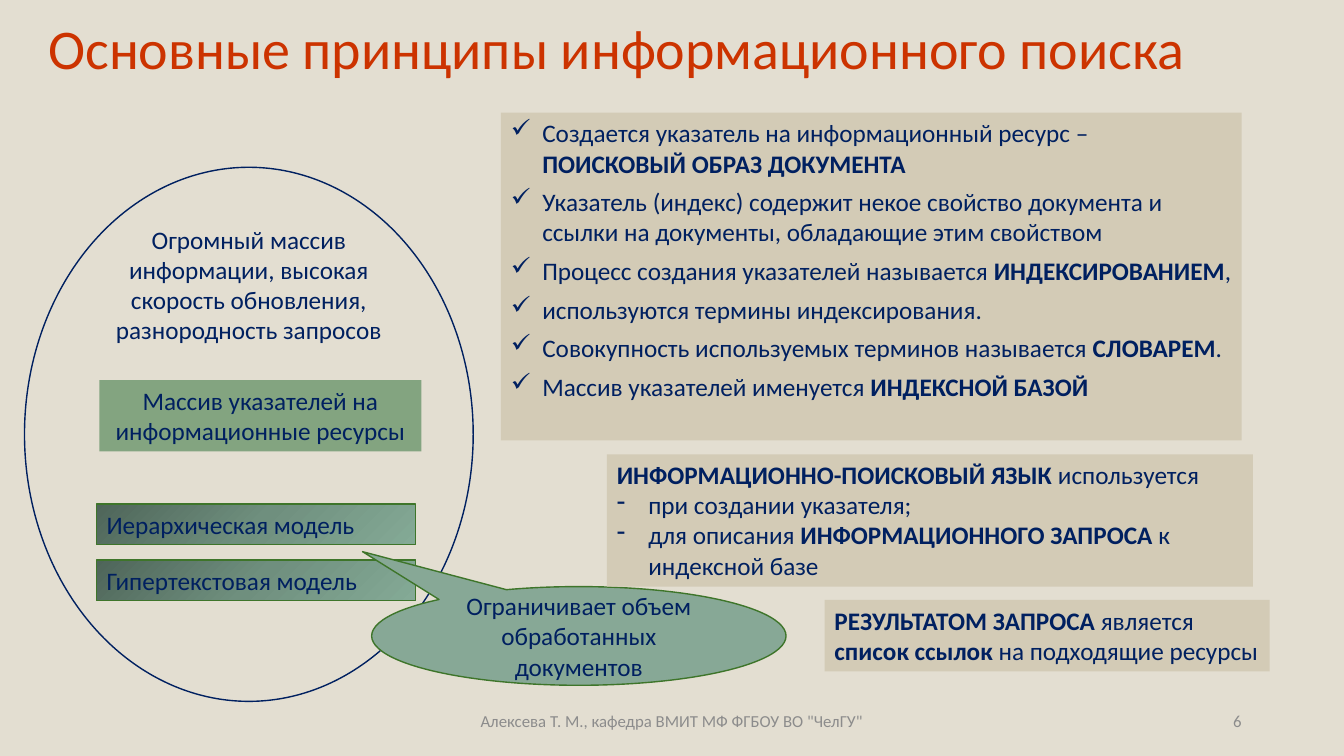
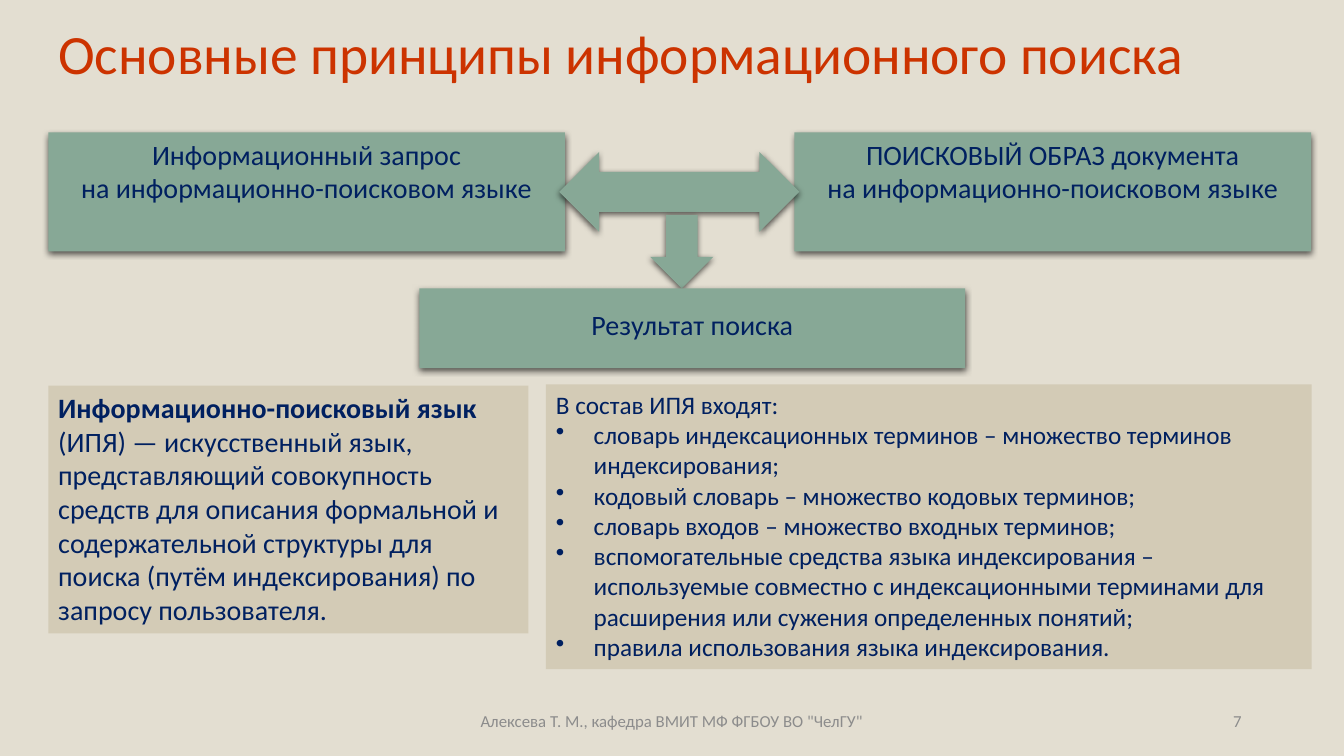
from copy import deepcopy

from lxml import etree
from pptx import Presentation
from pptx.dml.color import RGBColor
from pptx.enum.shapes import MSO_SHAPE
from pptx.enum.text import MSO_ANCHOR, PP_ALIGN
from pptx.oxml.ns import qn
from pptx.util import Pt

RECT, OVAL = MSO_SHAPE.RECTANGLE, MSO_SHAPE.OVAL
CALLOUT = MSO_SHAPE.OVAL_CALLOUT
TWO_WAY, DOWN = MSO_SHAPE.LEFT_RIGHT_ARROW, MSO_SHAPE.DOWN_ARROW
LEFT, MID, RIGHT = PP_ALIGN.LEFT, PP_ALIGN.CENTER, PP_ALIGN.RIGHT
TOP, CENTER = MSO_ANCHOR.TOP, MSO_ANCHOR.MIDDLE

HEX = {
    "back": "E3DED1", "title": "CC3300", "foot": "8C8C8C", "ink": "002060",
    "sand": "D3CBB6", "sage": "87A896", "leaf": "83A480", "edge": "3E752A",
    "dark": "4E6559", "mid": "6F8F7E", "light": "84AA96", "black": "000000",
}
RGB = {name: RGBColor.from_string(code) for name, code in HEX.items()}
FONT = "Calibri"
TITLE = "Основные принципы информационного поиска"
FOOTER = 'Алексева Т. М., кафедра ВМИТ МФ ФГБОУ ВО "ЧелГУ"'


def draw(slide, kind, at, fill, line=None, shade=False):
    shape = slide.shapes.add_shape(kind, *map(Pt, at))
    shape.shadow.inherit = False
    shape.fill.solid()
    shape.fill.fore_color.rgb = RGB[fill]
    if line:
        shape.line.color.rgb = RGB[line]
        shape.line.width = Pt(1)
    else:
        shape.line.fill.background()
    if shade:
        effects = shape._element.spPr.find(qn("a:effectLst"))
        outer = etree.SubElement(
            effects, qn("a:outerShdw"), blurRad=str(Pt(4.5)),
            dist=str(Pt(1.5)), dir="5400000", rotWithShape="0")
        tone = etree.SubElement(outer, qn("a:srgbClr"), val=HEX["black"])
        etree.SubElement(tone, qn("a:alpha"), val="63000")
    return shape


def write(shape, lines, size=18, color="ink", align=LEFT, anchor=TOP,
          indent=22.5, after=0, spacing=None):
    frame = shape.text_frame
    frame.word_wrap = True
    frame.vertical_anchor = anchor
    for n, (mark, text) in enumerate(lines):
        par = frame.paragraphs[0] if n == 0 else frame.add_paragraph()
        if mark:
            props = par._p.get_or_add_pPr()
            props.set("marL", str(Pt(indent)))
            props.set("indent", str(-Pt(indent)))
            etree.SubElement(props, qn("a:buChar"), char=mark)
        par.alignment = align
        par.space_after = Pt(after)
        if spacing:
            par.line_spacing = spacing
        for i, part in enumerate(text.split("*")):
            for j, piece in enumerate(part.split("\n")):
                if j:
                    par.add_line_break()
                if piece:
                    run = par.add_run()
                    run.text = piece
                    run.font.name = FONT
                    run.font.size = Pt(size)
                    run.font.bold = i % 2 == 1
                    run.font.color.rgb = RGB[color]


deck = Presentation()
deck.slide_width, deck.slide_height = Pt(960), Pt(540)
back = deck.slide_master.background.fill
back.solid()
back.fore_color.rgb = RGB["back"]

pages = []
for number, at, size in (
    ("6", (27.5, 11, 905, 52), 40),
    ("7", (34.5, 13.5, 828, 54), 39.6),
):
    page = deck.slides.add_slide(deck.slide_layouts[6])
    pages.append(page)
    for text, place, points, color, align, spacing in (
        (TITLE, at, size, "title", LEFT, 0.9),
        (FOOTER, (318, 500.5, 324, 29), 12, "foot", MID, None),
        (number, (678, 500.5, 216, 29), 12, "foot", RIGHT, None),
    ):
        box = page.shapes.add_textbox(*map(Pt, place))
        write(box, [("", text)], points, color, align, CENTER, spacing=spacing)

first, second = pages

cloud = draw(first, OVAL, (17.5, 119.5, 320.5, 381.5), "back", "ink")
cloud.text_frame.margin_top = 0
cloud.text_frame.margin_bottom = Pt(214)
write(cloud, [("", "Огромный массив информации, высокая скорость обновления, "
               "разнородность запросов")], align=MID, anchor=CENTER)

for top, text in ((400, "Гипертекстовая модель"), (360, "Иерархическая модель")):
    bar = draw(first, RECT, (69, top, 228, 29), "sage", "edge")
    bar.fill.gradient()
    bar.fill.gradient_angle = 315
    stops = bar._element.spPr.find(".//" + qn("a:gsLst"))
    stops.insert(1, deepcopy(stops[0]))
    for stop, spot, color in zip(bar.fill.gradient_stops, (0, 0.5, 1),
                                 ("dark", "mid", "light")):
        stop.position = spot
        stop.color.rgb = RGB[color]
    write(bar, [("", text)])

bubble = draw(first, CALLOUT, (265.5, 419, 296, 70.5), "sage", "edge")
bubble.adjustments[0] = -0.522
bubble.adjustments[1] = -0.854
write(bubble, [("", "Ограничивает объем обработанных документов")],
      align=MID, anchor=CENTER)

index = draw(first, RECT, (71, 271.5, 230, 51), "leaf")
write(index, [("", "Массив указателей на информационные ресурсы")], align=MID)

steps = draw(first, RECT, (357.8, 80.5, 529.2, 234), "sand")
write(steps, [("✓", text) for text in (
    "Создается указатель на информационный ресурс – *ПОИСКОВЫЙ ОБРАЗ ДОКУМЕНТА*",
    "Указатель (индекс) содержит некое свойство документа и ссылки на "
    "документы, обладающие этим свойством",
    "Процесс создания указателей называется *ИНДЕКСИРОВАНИЕМ*,",
    "используются термины индексирования.",
    "Совокупность используемых терминов называется *СЛОВАРЕМ*.",
    "Массив указателей именуется *ИНДЕКСНОЙ БАЗОЙ*",
)], after=6)

tongue = draw(first, RECT, (433.5, 324.5, 461.5, 94.5), "sand")
write(tongue, [
    ("", "*ИНФОРМАЦИОННО-ПОИСКОВЫЙ ЯЗЫК* используется"),
    ("-", "при создании указателя;"),
    ("-", "для описания *ИНФОРМАЦИОННОГО ЗАПРОСА *к индексной базе"),
])

result = draw(first, RECT, (589, 428.5, 318, 51), "sand")
write(result, [
    ("", "*РЕЗУЛЬТАТОМ ЗАПРОСА *является"),
    ("", "*список ссылок *на подходящие ресурсы"),
])

for left, text in (
    (34.5, "Информационный запрос\nна информационно-поисковом языке"),
    (567.5, "ПОИСКОВЫЙ ОБРАЗ документа\nна информационно-поисковом языке"),
):
    side = draw(second, RECT, (left, 94.5, 369, 85), "sage", shade=True)
    write(side, [("", text)], 20, align=MID)

for kind, at in (
    (TWO_WAY, (399.5, 108.5, 171.5, 57)),
    (DOWN, (464.5, 153.5, 45, 52.5)),
):
    draw(second, kind, at, "sage", shade=True)

found = draw(second, RECT, (299.5, 206, 390, 57), "sage", shade=True)
found.text_frame.margin_top = Pt(13.5)
write(found, [("", "Результат поиска")], 20, align=MID)

term = draw(second, RECT, (34.5, 275.5, 343, 177), "sand")
write(term, [("", "*Информационно-поисковый язык* (ИПЯ) — искусственный язык, "
              "представляющий совокупность средств для описания формальной и "
              "содержательной структуры для поиска (путём индексирования) по "
              "запросу пользователя.")], 20)

parts = draw(second, RECT, (390, 274.5, 547, 203.5), "sand")
write(parts, [("", "В состав ИПЯ входят:")] + [("•", text) for text in (
    "словарь индексационных терминов – множество терминов индексирования;",
    "кодовый словарь – множество кодовых терминов;",
    "словарь входов – множество входных терминов;",
    "вспомогательные средства языка индексирования – используемые совместно с "
    "индексационными терминами для расширения или сужения определенных понятий;",
    "правила использования языка индексирования.",
)], indent=27)

deck.save("out.pptx")
